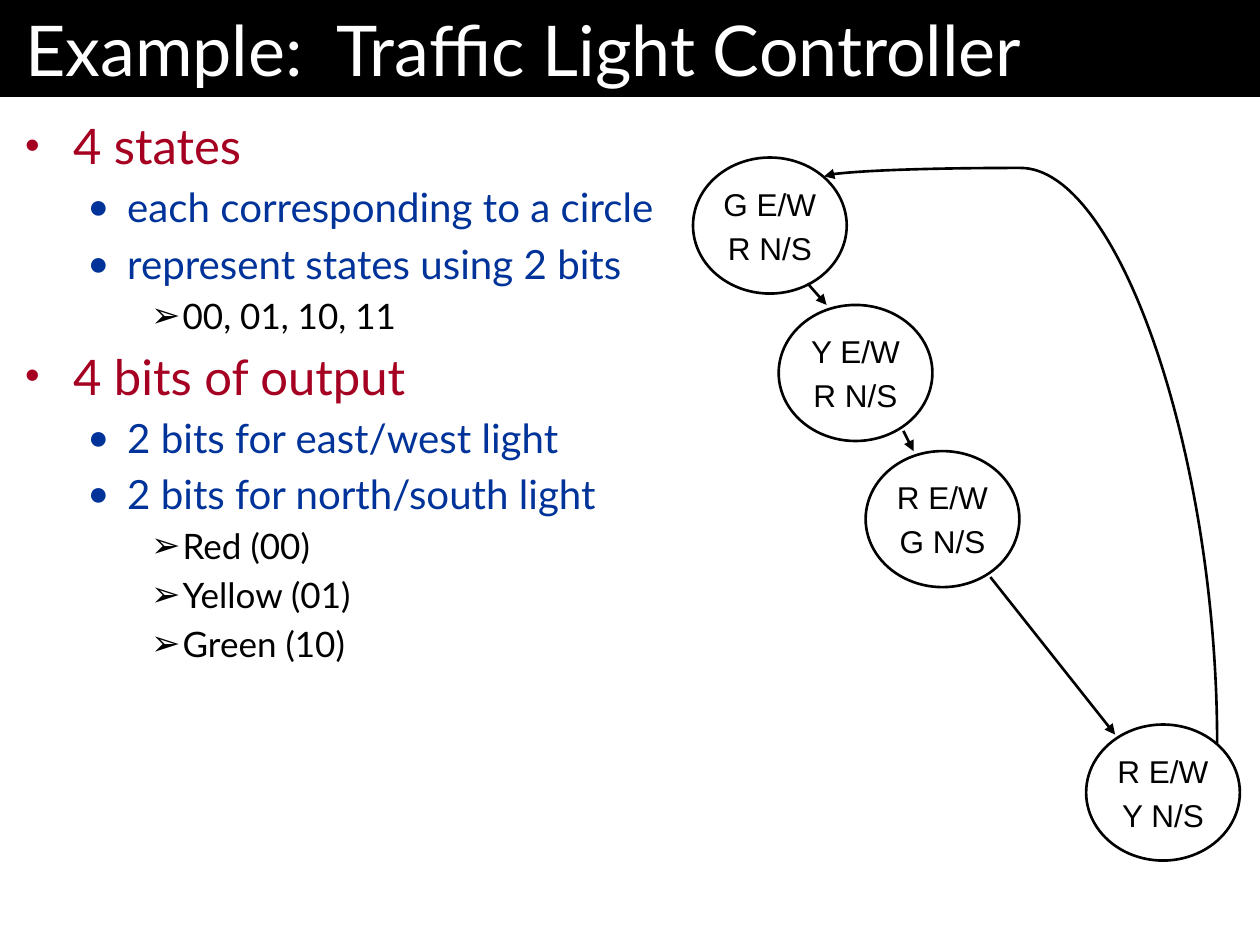
from lxml import etree
from pptx import Presentation
from pptx.dml.color import RGBColor
from pptx.enum.shapes import MSO_CONNECTOR, MSO_SHAPE
from pptx.enum.text import MSO_ANCHOR, PP_ALIGN
from pptx.oxml.ns import qn
from pptx.util import Inches, Pt

BLACK = RGBColor(0x00, 0x00, 0x00)
WHITE = RGBColor(0xFF, 0xFF, 0xFF)
CRIMSON = RGBColor(0xA5, 0x00, 0x21)
BLUE = RGBColor(0x00, 0x33, 0x99)

# level: size, colour, text indent, hanging indent, bullet, bullet size
LEVELS = [
    (28, CRIMSON, 0.38, 0.38, "•", 85),
    (23, BLUE, 0.81, 0.31, "●", 85),
    (20, BLACK, 1.25, 0.25, "➢", 100),
]
OUTLINE = [
    (0, "4 states"),
    (1, "each corresponding to a circle"),
    (1, "represent states using 2 bits"),
    (2, "00, 01, 10, 11"),
    (0, "4 bits of output"),
    (1, "2 bits for east/west light"),
    (1, "2 bits for north/south light"),
    (2, "Red (00)"),
    (2, "Yellow (01)"),
    (2, "Green (10)"),
]
STATES = [
    (5.5, 1.25, "G E/W", "R N/S"),
    (6.18, 2.42, "Y E/W", "R N/S"),
    (6.87, 3.58, "R E/W", "G N/S"),
    (8.62, 5.75, "R E/W", "Y N/S"),
]
# The return curve is a frame that is then turned by 90 degrees.
TRANSITIONS = [
    (MSO_CONNECTOR.STRAIGHT, 6.41, 2.25, 6.56, 2.42),
    (MSO_CONNECTOR.STRAIGHT, 7.17, 3.42, 7.25, 3.58),
    (MSO_CONNECTOR.STRAIGHT, 7.86, 4.58, 8.85, 5.83),
    (MSO_CONNECTOR.CURVE, 10.35, 2.09, 5.85, 5.21),
]


def add_text(frame, index, text, size, color, font="Lato", align=PP_ALIGN.LEFT, before=20):
    """Write one paragraph with space before in percent, and return it."""
    para = frame.paragraphs[0] if index == 0 else frame.add_paragraph()
    para.alignment = align
    span = para.add_run()
    span.text = text
    span.font.size = Pt(size)
    span.font.name = font
    span.font.color.rgb = color
    if before:
        spacing = etree.SubElement(para._p.get_or_add_pPr(), qn("a:spcBef"))
        etree.SubElement(spacing, qn("a:spcPct"), val=str(before * 1000))
    return para


def set_insets(frame, side, top):
    """Set equal side insets and equal top and bottom insets in inches."""
    frame.margin_left = frame.margin_right = Inches(side)
    frame.margin_top = frame.margin_bottom = Inches(top)


deck = Presentation()
deck.slide_width = Inches(10)
deck.slide_height = Inches(7.5)
page = deck.slides.add_slide(deck.slide_layouts[6])

# Title bar
title = page.shapes.add_shape(MSO_SHAPE.RECTANGLE, 0, 0, Inches(10), Inches(0.77))
title.shadow.inherit = False
title.fill.solid()
title.fill.fore_color.rgb = BLACK
title.line.fill.background()
title.text_frame.word_wrap = True
title.text_frame.vertical_anchor = MSO_ANCHOR.TOP
set_insets(title.text_frame, 0.2, 0.05)
add_text(title.text_frame, 0, "Example:  Traffic Light Controller", 40, WHITE, before=0)

# Outline
body = page.shapes.add_textbox(0, Inches(0.77), Inches(5.5), Inches(6.73))
body.text_frame.word_wrap = True
set_insets(body.text_frame, 0.2, 0.15)
for index, (level, text) in enumerate(OUTLINE):
    size, color, indent, hanging, bullet, bullet_size = LEVELS[level]
    para = add_text(body.text_frame, index, text, size, color)
    para.level = level
    props = para._p.get_or_add_pPr()
    props.set("marL", str(Inches(indent)))
    props.set("indent", str(-Inches(hanging)))
    bullet_color = etree.SubElement(props, qn("a:buClr"))
    etree.SubElement(bullet_color, qn("a:srgbClr"), val=str(color))
    etree.SubElement(props, qn("a:buSzPct"), val=str(bullet_size * 1000))
    etree.SubElement(props, qn("a:buFont"), typeface="Arial")
    etree.SubElement(props, qn("a:buChar"), char=bullet)

# State circles
for left, top, *lights in STATES:
    state = page.shapes.add_shape(
        MSO_SHAPE.OVAL, Inches(left), Inches(top), Inches(1.22), Inches(1.08))
    state.shadow.inherit = False
    state.fill.background()
    state.line.color.rgb = BLACK
    state.line.width = Pt(1.5)
    state.text_frame.word_wrap = False
    state.text_frame.vertical_anchor = MSO_ANCHOR.MIDDLE
    for index, light in enumerate(lights):
        add_text(state.text_frame, index, light, 18, BLACK, "Arial", PP_ALIGN.CENTER)

# Transition arrows
for kind, *ends in TRANSITIONS:
    arrow = page.shapes.add_connector(kind, *[Inches(value) for value in ends])
    arrow.line.color.rgb = BLACK
    arrow.line.width = Pt(1.5)
    etree.SubElement(arrow.line._get_or_add_ln(), qn("a:tailEnd"), type="triangle")
    shape_props = arrow._element.spPr
    etree.SubElement(shape_props, qn("a:effectLst"))
    if kind == MSO_CONNECTOR.CURVE:
        shape_props.find(qn("a:xfrm")).set("rot", str(90 * 60000))
        guides = shape_props.find(qn("a:prstGeom")).find(qn("a:avLst"))
        etree.SubElement(guides, qn("a:gd"), name="adj1", fmla="val 101500")

deck.save("out.pptx")
